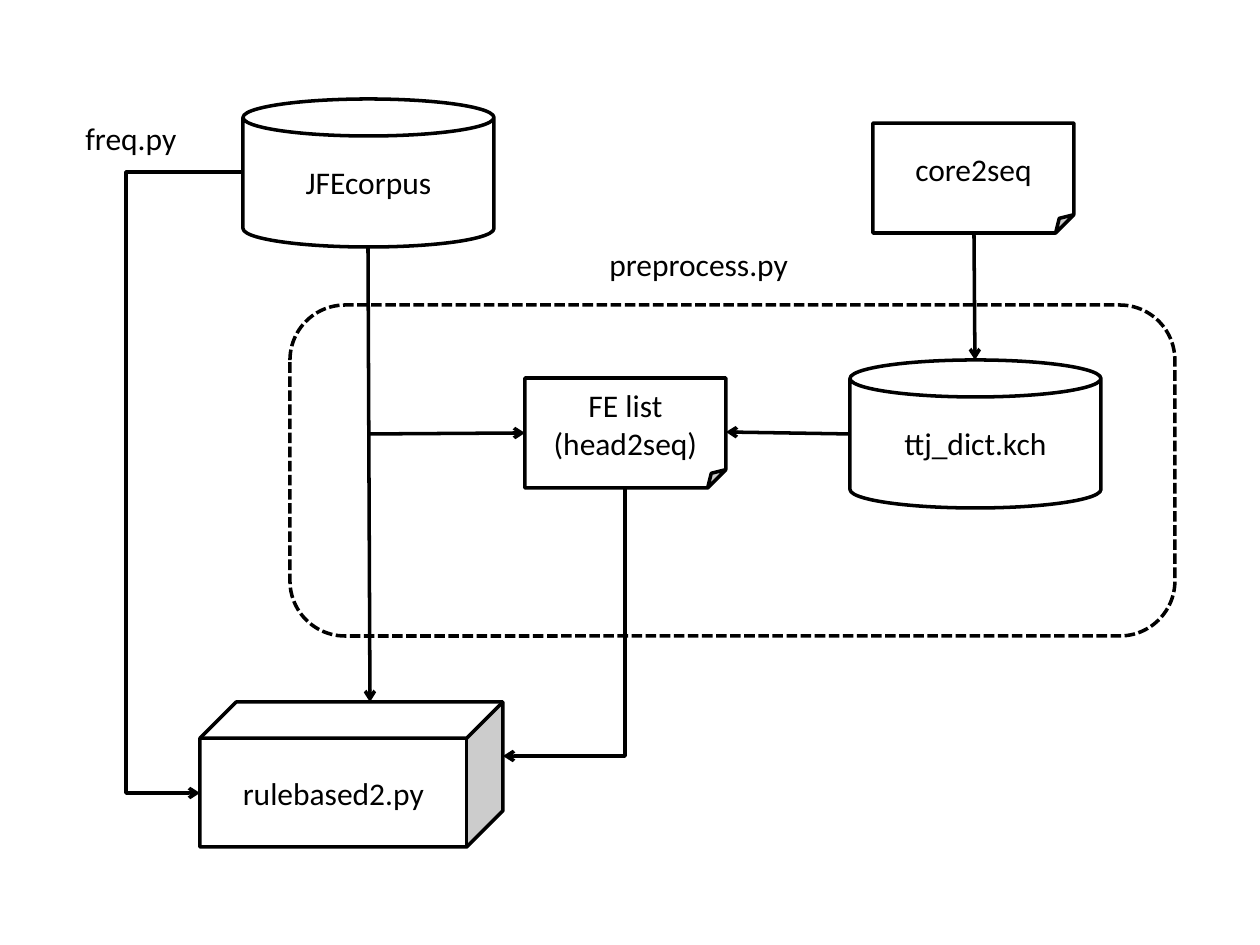
from dataclasses import dataclass
from typing import Any, Optional

from lxml.etree import SubElement
from pptx import Presentation
from pptx.dml.color import RGBColor
from pptx.enum.dml import MSO_LINE_DASH_STYLE as Dash
from pptx.enum.shapes import MSO_CONNECTOR as Connector, MSO_SHAPE as Shape
from pptx.enum.text import MSO_ANCHOR as Anchor, MSO_AUTO_SIZE as AutoSize, PP_ALIGN as Align
from pptx.oxml.ns import qn
from pptx.util import Emu, Pt

PIXELS_PER_INCH = 126


@dataclass(frozen=True)
class Theme:
    ink: RGBColor = RGBColor(0, 0, 0)
    paper: RGBColor = RGBColor(255, 255, 255)
    font: str = "Calibri"
    text_size: int = 18
    line_width: int = 2


@dataclass(frozen=True)
class Node:
    kind: Shape
    left: int
    top: int
    width: int
    height: int
    text: str = ""


@dataclass(frozen=True)
class Label:
    left: int
    top: int
    width: int
    height: int
    text: str


@dataclass(frozen=True)
class Arrow:
    start: tuple[int, int]
    end: tuple[int, int]
    turn_x: Optional[int] = None


THEME = Theme()
FILE_SIZE = (201, 110)
DATABASE_SIZE = (251, 148)

NODES = [
    Node(Shape.CAN, 243, 99, *DATABASE_SIZE, "JFEcorpus"),
    Node(Shape.CUBE, 200, 702, 303, 145, "rulebased2.py"),
    Node(Shape.FOLDED_CORNER, 525, 378, *FILE_SIZE, "FE list\n(head2seq)"),
    Node(Shape.FOLDED_CORNER, 873, 123, *FILE_SIZE, "core2seq"),
    Node(Shape.CAN, 850, 360, *DATABASE_SIZE, "ttj_dict.kch"),
]
PREPROCESS_FRAME = Node(Shape.ROUNDED_RECTANGLE, 290, 305, 885, 331)
LABELS = [
    Label(597, 239, 208, 50, "preprocess.py"),
    Label(73, 113, 118, 50, "freq.py"),
]
ARROWS = [
    Arrow((368, 246), (370, 702)),
    Arrow((974, 233), (975, 360)),
    Arrow((850, 434), (726, 432)),
    Arrow((369, 434), (525, 433)),
    Arrow((625, 488), (503, 756), turn_x=625),
    Arrow((243, 172), (200, 793), turn_x=126),
]


def px(pixels: float) -> Emu:
    return Emu(round(pixels * 914400 / PIXELS_PER_INCH))


def apply_format(target: Any, values: dict[str, Any]) -> None:
    for name, value in values.items():
        setattr(target, name, value)


def write_text(frame: Any, text: str, alignment: Align) -> None:
    frame.text = text
    for paragraph in frame.paragraphs:
        paragraph.alignment = alignment
        font = paragraph.runs[0].font
        apply_format(font, {"name": THEME.font, "size": Pt(THEME.text_size)})
        font.color.rgb = THEME.ink


def style_line(line: Any) -> None:
    line.color.rgb = THEME.ink
    line.width = Pt(THEME.line_width)


def draw_node(slide: Any, node: Node) -> Any:
    box = map(px, (node.left, node.top, node.width, node.height))
    shape = slide.shapes.add_shape(node.kind, *box)
    shape.shadow.inherit = False
    style_line(shape.line)
    if node.text:
        shape.fill.solid()
        shape.fill.fore_color.rgb = THEME.paper
        shape.text_frame.vertical_anchor = Anchor.MIDDLE
        write_text(shape.text_frame, node.text, Align.CENTER)
    else:
        shape.fill.background()
    return shape


def draw_label(slide: Any, label: Label) -> None:
    box = map(px, (label.left, label.top, label.width, label.height))
    frame = slide.shapes.add_textbox(*box).text_frame
    apply_format(frame, {"word_wrap": False, "auto_size": AutoSize.SHAPE_TO_FIT_TEXT})
    write_text(frame, label.text, Align.LEFT)


def draw_arrow(slide: Any, arrow: Arrow) -> None:
    (start_x, start_y), (end_x, end_y) = arrow.start, arrow.end
    kind = Connector.STRAIGHT if arrow.turn_x is None else Connector.ELBOW
    one_corner = arrow.turn_x == start_x
    if one_corner:
        center_x, center_y = (start_x + end_x) / 2, (start_y + end_y) / 2
        half_width, half_height = abs(end_y - start_y) / 2, abs(end_x - start_x) / 2
        start_x, end_x = center_x - half_width, center_x + half_width
        start_y, end_y = center_y - half_height, center_y + half_height
    connector = slide.shapes.add_connector(kind, *map(px, (start_x, start_y, end_x, end_y)))
    style_line(connector.line)
    properties = connector._element.spPr
    geometry = properties.find(qn("a:prstGeom"))
    if one_corner:
        geometry.set("prst", "bentConnector2")
        properties.find(qn("a:xfrm")).set("rot", str(90 * 60000))
    elif arrow.turn_x is not None:
        bend = round((arrow.turn_x - start_x) / (end_x - start_x) * 100000)
        adjustments = geometry.find(qn("a:avLst"))
        SubElement(adjustments, qn("a:gd"), name="adj1", fmla=f"val {bend}")
    SubElement(properties.find(qn("a:ln")), qn("a:tailEnd"), type="arrow")
    SubElement(properties, qn("a:effectLst"))


def build() -> None:
    presentation = Presentation()
    apply_format(presentation, {"slide_width": px(1260), "slide_height": px(945)})
    slide = presentation.slides.add_slide(presentation.slide_layouts[6])
    for node in NODES:
        draw_node(slide, node)
    draw_node(slide, PREPROCESS_FRAME).line.dash_style = Dash.SQUARE_DOT
    for arrow in ARROWS:
        draw_arrow(slide, arrow)
    for label in LABELS:
        draw_label(slide, label)
    presentation.save("out.pptx")


build()
